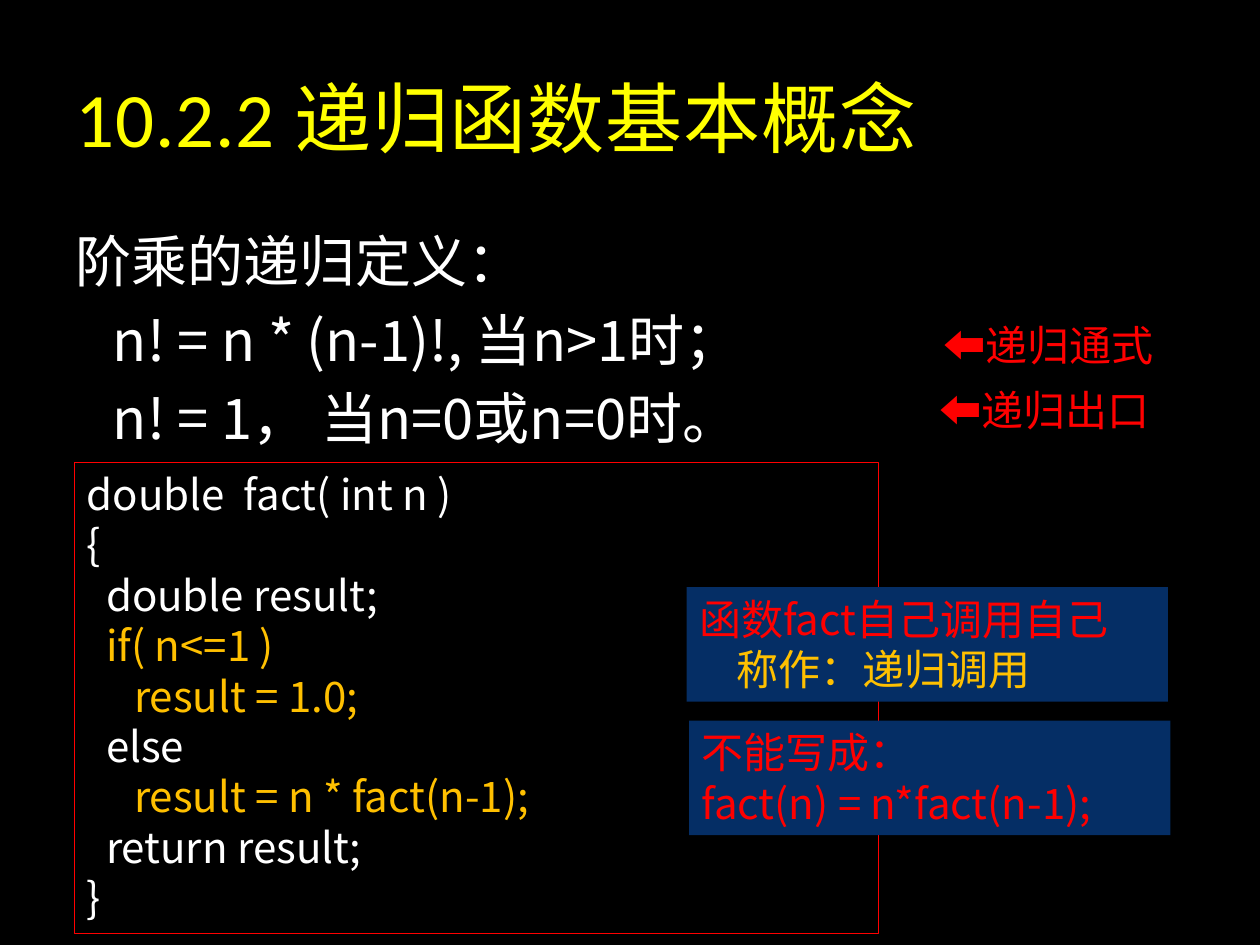
from dataclasses import dataclass
from typing import Optional

from lxml import etree
from pptx import Presentation
from pptx.dml.color import RGBColor
from pptx.enum.shapes import MSO_SHAPE
from pptx.enum.text import MSO_ANCHOR, MSO_AUTO_SIZE, PP_ALIGN
from pptx.oxml.ns import qn
from pptx.util import Pt

RECTANGLE = MSO_SHAPE.RECTANGLE
TOP, MIDDLE = MSO_ANCHOR.TOP, MSO_ANCHOR.MIDDLE
GROW, FIXED = MSO_AUTO_SIZE.SHAPE_TO_FIT_TEXT, MSO_AUTO_SIZE.NONE
LEFT = PP_ALIGN.LEFT

BLACK = RGBColor(0x00, 0x00, 0x00)
WHITE = RGBColor(0xFF, 0xFF, 0xFF)
YELLOW = RGBColor(0xFF, 0xFF, 0x00)
RED = RGBColor(0xFF, 0x00, 0x00)
AMBER = RGBColor(0xFF, 0xC0, 0x00)
NAVY = RGBColor(0x05, 0x2E, 0x65)

CJK_FONT = "Noto Sans CJK SC"
STATEMENT, NESTED = 11, 27


@dataclass
class Line:
    text: str
    color: RGBColor = WHITE
    indent: float = 0


@dataclass
class Block:
    left: float
    top: float
    width: float
    height: float
    lines: list[Line]
    size: float = 24
    font: str = CJK_FONT
    space_before: float = 0
    letter_spacing: float = 0
    anchor: MSO_ANCHOR = TOP
    wrap: bool = True
    grow: bool = True
    fill: Optional[RGBColor] = None
    outline: Optional[RGBColor] = None


def add_box(page, block: Block):
    bounds = Pt(block.left), Pt(block.top), Pt(block.width), Pt(block.height)
    if block.fill is None and block.outline is None:
        return page.shapes.add_textbox(*bounds)
    box = page.shapes.add_shape(RECTANGLE, *bounds)
    box.shadow.inherit = False
    if block.fill is None:
        box.fill.background()
    else:
        box.fill.solid()
        box.fill.fore_color.rgb = block.fill
    if block.outline is None:
        box.line.fill.background()
    else:
        box.line.color.rgb = block.outline
        box.line.width = Pt(0.75)
    return box


def write_line(para, line: Line, block: Block) -> None:
    para.text = line.text
    para.alignment = LEFT
    para.space_before = Pt(block.space_before)
    para.font.size = Pt(block.size)
    para.font.name = block.font
    para.font.color.rgb = line.color
    properties = para._p.get_or_add_pPr()
    properties.set("marL", str(Pt(line.indent)))
    properties.set("indent", "0")
    defaults = properties.find(qn("a:defRPr"))
    defaults.set("spc", str(round(block.letter_spacing * 100)))
    etree.SubElement(defaults, qn("a:ea")).set("typeface", CJK_FONT)


def draw_block(page, block: Block) -> None:
    frame = add_box(page, block).text_frame
    frame.word_wrap = block.wrap
    frame.auto_size = GROW if block.grow else FIXED
    frame.vertical_anchor = block.anchor
    for index, line in enumerate(block.lines):
        para = frame.add_paragraph() if index else frame.paragraphs[0]
        write_line(para, line, block)


def margin_note(left: float, top: float, text: str) -> Block:
    return Block(left, top, 137.5, 36, [Line(text, RED)], font="Arial", wrap=False)


def callout(left: float, top: float, lines: list[Line]) -> Block:
    return Block(left, top, 275, 65.5, lines, fill=NAVY)


TITLE = Block(
    36, 21.6, 612, 90, [Line("10.2.2 递归函数基本概念", YELLOW)],
    size=44, font="Calibri", letter_spacing=0.5, anchor=MIDDLE, grow=False,
)
DEFINITION = Block(
    36, 126, 648, 356.4,
    [
        Line("阶乘的递归定义："),
        Line("n! = n * (n-1)!, 当n>1时；", indent=21.5),
        Line("n! = 1， 当n=0或n=0时。", indent=21.5),
    ],
    size=32, space_before=6.4, grow=False,
)
CODE = Block(
    42.5, 264.2, 459.4, 269.3,
    [
        Line("double  fact( int n )"),
        Line("{"),
        Line("double result;", indent=STATEMENT),
        Line("if( n<=1 )", AMBER, STATEMENT),
        Line("result = 1.0;", AMBER, NESTED),
        Line("else", indent=STATEMENT),
        Line("result = n * fact(n-1);", AMBER, NESTED),
        Line("return result;", indent=STATEMENT),
        Line("}"),
    ],
    outline=RED,
)
BLOCKS = [
    TITLE,
    DEFINITION,
    margin_note(532.1, 179.3, "⬅递归通式"),
    margin_note(529.9, 216, "⬅递归出口"),
    CODE,
    callout(393.8, 411.8, [Line("不能写成：", RED), Line("fact(n) = n*fact(n-1);", RED)]),
    callout(392.4, 335.5, [
        Line("函数fact自己调用自己", RED),
        Line("称作：递归调用", AMBER, 21.5),
    ]),
]


def main() -> None:
    deck = Presentation()
    deck.slide_width, deck.slide_height = Pt(720), Pt(540)
    page = deck.slides.add_slide(deck.slide_layouts[6])
    page.background.fill.solid()
    page.background.fill.fore_color.rgb = BLACK
    for block in BLOCKS:
        draw_block(page, block)
    deck.save("out.pptx")


if __name__ == "__main__":
    main()
